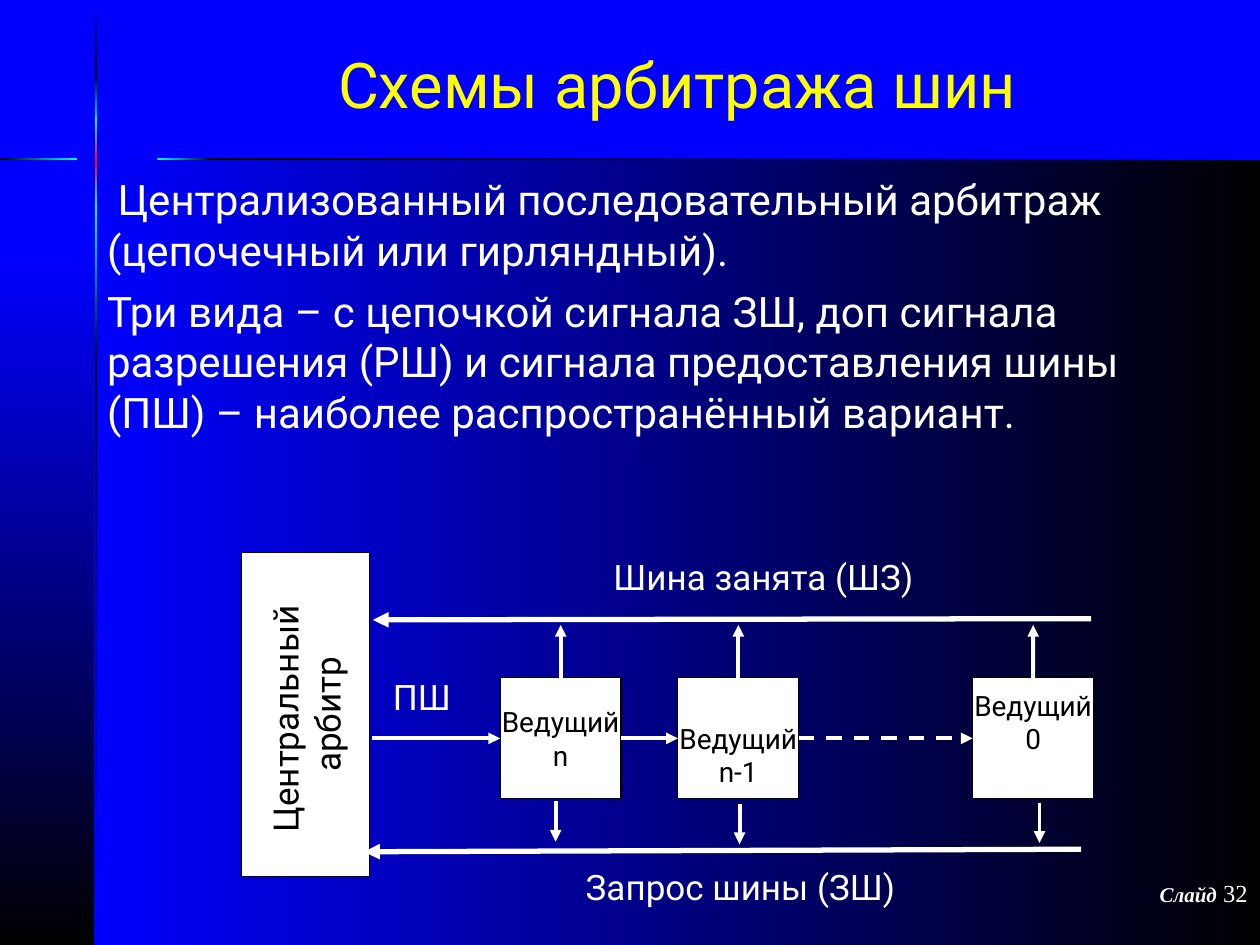
import copy
import pptx
import pptx.dml.color
import pptx.enum.dml
import pptx.enum.shapes
import pptx.enum.text
import pptx.oxml.ns
import pptx.util

Inches, Pt = pptx.util.Inches, pptx.util.Pt
ALIGN, ANCHOR = pptx.enum.text.PP_ALIGN, pptx.enum.text.MSO_ANCHOR
FIT, SHAPE = pptx.enum.text.MSO_AUTO_SIZE, pptx.enum.shapes.MSO_SHAPE
qn = pptx.oxml.ns.qn

HEADING = "Схемы арбитража шин"
BODY = [
    " Централизованный последовательный арбитраж (цепочечный или гирляндный).",
    "Три вида – с цепочкой сигнала ЗШ, доп сигнала разрешения (РШ) "
    "и сигнала предоставления шины (ПШ) – наиболее распространённый вариант.",
]
ARBITER = "Центральный \vарбитр"
LEADERS = [
    {"lines": ["Ведущий", "n"], "left": 3.97, "inset": {}, "down": (4.41, 6.36)},
    {"lines": ["Ведущий", "n-1"], "left": 5.38, "inset": {"margin_top": Inches(0.31)}, "down": (5.87, 6.38)},
    {"lines": ["Ведущий", "0"], "left": 7.72, "inset": {"margin_bottom": Inches(0.31)}, "down": (8.25, 6.37)},
]
SIGNALS = [
    ("Запрос шины (ЗШ)", (4.55, 6.82, 2.75, 0.44)),
    ("Шина занята (ШЗ)", (4.77, 4.36, 2.68, 0.44)),
    ("ПШ", (3.02, 5.31, 0.69, 0.44)),
]
BUSES = [((8.58, 6.74), (2.89, 6.76)), ((8.66, 4.91), (2.96, 4.92))]
FOOTER = [("Слайд", "footer"), (" 32", "number")]

THEME = {
    "blue": "0000FF", "black": "000000", "cyan": "00FFFF", "red": "FF0000", "white": "FFFFFF",
    "bus": 3, "arrow": 2.25, "border": 0.75,
    "title": {"name": "Roboto", "size": Pt(36), "rgb": "FFFF00"},
    "body": {"name": "Roboto", "size": Pt(24), "rgb": "FFFFFF"},
    "arbiter": {"name": "Roboto", "size": Pt(20), "rgb": "000000"},
    "leader": {"name": "Roboto", "size": Pt(16), "rgb": "000000"},
    "signal": {"name": "Roboto", "size": Pt(20), "rgb": "FFFFFF"},
    "footer": {"name": "Times New Roman", "size": Pt(12), "rgb": "FFFFFF", "bold": True, "italic": True},
    "number": {"name": "Times New Roman", "size": Pt(14), "rgb": "FFFFFF"},
}

ACROSS, DOWN = 0, 270
BANDS = [
    ((0.75, 1.25, 9.25, 6.25), ACROSS, ["blue", "black"]),
    ((0, 2.02, 0.75, 5.48), DOWN, ["blue", "black"]),
    ((0.75, 0.01, 0.02, 0.57), DOWN, ["blue", "black"]),
    ((0.75, 2.82, 0.02, 4.68), DOWN, ["black", "blue"]),
    ((0.75, 1.63, 0.02, 1.22), DOWN, ["cyan", "black"]),
    ((0.75, 0.58, 0.02, 0.44), DOWN, ["black", "cyan"]),
    ((0.75, 0.92, 0.02, 0.73), DOWN, ["cyan", "red", "cyan"]),
    ((0, 1.25, 0.61, 0.02), ACROSS, ["black", "cyan"]),
    ((1.67, 1.25, 8.33, 0.02), ACROSS, ["black", "blue"]),
    ((1.25, 1.25, 0.44, 0.02), ACROSS, ["cyan", "black"]),
]
GLINT = [(0.21, 1.26), (0.6, 1.27), (1.33, 1.27), (1.33, 1.25), (0.6, 1.25)]
ARBITER_BOX = (1.14, 5.16, 2.57, 1.02)
LEADER_TOP, LEADER_SIDE = 5.38, 0.96
LEADER_MIDDLE = LEADER_TOP + LEADER_SIDE / 2
UP_LENGTH, DOWN_LENGTH = 0.42, 0.32


def color(key):
    return pptx.dml.color.RGBColor.from_string(THEME.get(key, key))


def assign(target, formats):
    for attribute, value in formats.items():
        setattr(target, attribute, value)


def style_run(run, style):
    formats = dict(THEME[style])
    run.font.color.rgb = color(formats.pop("rgb"))
    assign(run.font, formats)


def write(frame, lines, style, paragraph_formats, frame_formats):
    assign(frame, frame_formats)
    frame.text = "\n".join(lines)
    for paragraph in frame.paragraphs:
        assign(paragraph, paragraph_formats)
        for run in paragraph.runs:
            style_run(run, style)


def place(part, box):
    assign(part, dict(zip(("left", "top", "width", "height"), map(Inches, box))))


def paint_gradient(band, angle, colors):
    band.shadow.inherit = False
    band.line.fill.background()
    band.fill.gradient()
    band.fill.gradient_angle = angle
    stop_list = band.element.spPr.find(".//" + qn("a:gsLst"))
    for _ in colors[2:]:
        stop_list.append(copy.deepcopy(stop_list[0]))
    for index, (stop, key) in enumerate(zip(band.fill.gradient_stops, colors)):
        stop.color.rgb = color(key)
        stop.position = index / (len(colors) - 1)


def add_block(shapes, box, lines, style, inset):
    block = shapes.add_shape(SHAPE.RECTANGLE, *map(Inches, box))
    block.shadow.inherit = False
    block.fill.solid()
    block.fill.fore_color.rgb = color("white")
    block.line.color.rgb = color("black")
    block.line.width = Pt(THEME["border"])
    write(block.text_frame, lines, style, {"alignment": ALIGN.CENTER},
          {"word_wrap": False, "vertical_anchor": ANCHOR.MIDDLE, **inset})
    return block


def add_arrow(shapes, start, end, weight="arrow"):
    arrow = shapes.add_connector(pptx.enum.shapes.MSO_CONNECTOR.STRAIGHT, *map(Inches, start + end))
    arrow.line.color.rgb = color("white")
    arrow.line.width = Pt(THEME[weight])
    arrow.line._get_or_add_ln().append(pptx.oxml.parse_xml(
        f'<a:tailEnd {pptx.oxml.ns.nsdecls("a")} type="triangle"/>'))
    arrow.element.spPr.append(pptx.oxml.parse_xml(f'<a:effectLst {pptx.oxml.ns.nsdecls("a")}/>'))
    return arrow


def main():
    deck = pptx.Presentation()
    deck.slide_width, deck.slide_height = Inches(10), Inches(7.5)
    slide = deck.slides.add_slide(deck.slide_layouts[1])
    slide.background.fill.solid()
    slide.background.fill.fore_color.rgb = color("blue")
    shapes = slide.shapes
    title, body = shapes.title, slide.placeholders[1]

    for box, angle, colors in BANDS:
        paint_gradient(shapes.add_shape(SHAPE.RECTANGLE, *map(Inches, box)), angle, colors)
    outline = shapes.build_freeform(*GLINT[0], scale=Inches(1))
    outline.add_line_segments(GLINT[1:], close=True)
    paint_gradient(outline.convert_to_shape(), ACROSS, ["cyan", "red", "cyan"])

    footer = shapes.add_textbox(*map(Inches, (7.92, 6.92, 2.08, 0.5)))
    footer.text_frame.word_wrap = True
    footer_line = footer.text_frame.paragraphs[0]
    footer_line.alignment = ALIGN.RIGHT
    for words, style in FOOTER:
        run = footer_line.add_run()
        run.text = words
        style_run(run, style)

    for placeholder in (title, body):
        shapes.element.append(placeholder.element)
    place(title, (0.75, 0.08, 9.25, 1.17))
    write(title.text_frame, [HEADING], "title", {"alignment": ALIGN.CENTER},
          {"vertical_anchor": ANCHOR.MIDDLE, "auto_size": FIT.NONE})
    place(body, (0.75, 1.33, 9.01, 6.17))
    write(body.text_frame, BODY, "body", {"space_before": Pt(6)},
          {"vertical_anchor": ANCHOR.TOP, "auto_size": FIT.NONE})
    for paragraph in body.text_frame.paragraphs:
        properties = paragraph._p.get_or_add_pPr()
        properties.set("marL", "0")
        properties.set("indent", "0")
        properties.append(pptx.oxml.parse_xml(f'<a:buNone {pptx.oxml.ns.nsdecls("a")}/>'))

    arbiter = add_block(shapes, ARBITER_BOX, [ARBITER], "arbiter", {})
    arbiter.rotation = 270
    blocks = [add_block(shapes, (leader["left"], LEADER_TOP, LEADER_SIDE, LEADER_SIDE),
                        leader["lines"], "leader", leader["inset"]) for leader in LEADERS]

    grant = add_arrow(shapes, (2.95, LEADER_MIDDLE), (LEADERS[0]["left"], LEADER_MIDDLE))
    grant.end_connect(blocks[0], 1)
    for index in range(len(LEADERS) - 1):
        near, far = LEADERS[index], LEADERS[index + 1]
        link = add_arrow(shapes, (near["left"] + LEADER_SIDE, LEADER_MIDDLE), (far["left"], LEADER_MIDDLE))
        link.begin_connect(blocks[index], 3)
        link.end_connect(blocks[index + 1], 1)
    link.line.dash_style = pptx.enum.dml.MSO_LINE.DASH

    for leader, block in zip(LEADERS, blocks):
        center = leader["left"] + LEADER_SIDE / 2
        busy = add_arrow(shapes, (center, LEADER_TOP), (center, LEADER_TOP - UP_LENGTH))
        busy.begin_connect(block, 0)
        x, y = leader["down"]
        add_arrow(shapes, (x, y), (x, y + DOWN_LENGTH))
    for start, end in BUSES:
        add_arrow(shapes, start, end, "bus")
    for words, box in SIGNALS:
        signal = shapes.add_textbox(*map(Inches, box))
        write(signal.text_frame, [words], "signal", {},
              {"word_wrap": False, "auto_size": FIT.SHAPE_TO_FIT_TEXT})
    deck.save("out.pptx")


if __name__ == "__main__":
    main()
